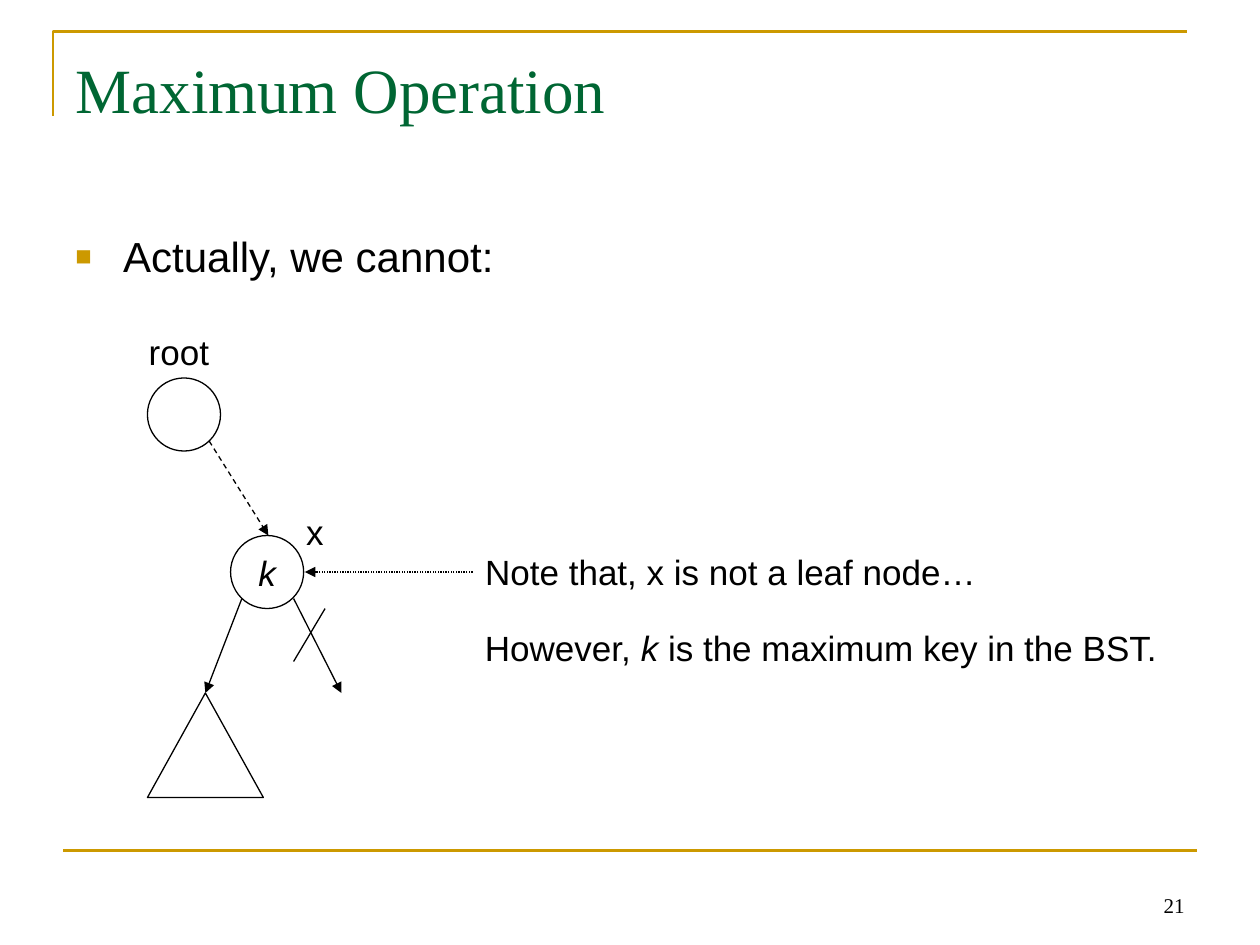
from lxml import etree
from pptx import Presentation
from pptx.dml.color import RGBColor
from pptx.enum.dml import MSO_LINE
from pptx.enum.shapes import MSO_CONNECTOR, MSO_SHAPE
from pptx.enum.text import MSO_ANCHOR, PP_ALIGN
from pptx.oxml.ns import qn
from pptx.util import Inches, Pt

BLACK, GOLD, GREEN = "000000", "CC9900", "006633"
NODE = 0.58


def colour(value):
    return RGBColor.from_string(value)


def add_span(para, text, size=20, font="Arial", color=BLACK, italic=False):
    span = para.add_run()
    span.text = text
    span.font.size = Pt(size)
    span.font.name = font
    span.font.italic = italic
    span.font.color.rgb = colour(color)


def set_frame(frame, inset=0.05, anchor=MSO_ANCHOR.TOP, wrap=True):
    frame.margin_left = frame.margin_right = Inches(0.1)
    frame.margin_top, frame.margin_bottom = Inches(inset), Inches(0.05)
    frame.vertical_anchor = anchor
    frame.word_wrap = wrap


def add_text(slide, left, top, width, height, align=PP_ALIGN.CENTER, **frame_options):
    """Add an empty text box and return its first paragraph."""
    box = slide.shapes.add_textbox(
        Inches(left), Inches(top), Inches(width), Inches(height))
    set_frame(box.text_frame, **frame_options)
    para = box.text_frame.paragraphs[0]
    para.alignment = align
    return para


def add_label(slide, left, top, width, text):
    add_span(add_text(slide, left, top, width, 0.44, wrap=False), text)


def add_line(slide, start, end, color=BLACK, weight=0.75, dash=None, arrow=False):
    line = slide.shapes.add_connector(
        MSO_CONNECTOR.STRAIGHT, *(Inches(value) for value in (*start, *end)))
    line.line.color.rgb = colour(color)
    line.line.width = Pt(weight)
    if dash:
        line.line.dash_style = dash
    properties = line._element.spPr
    if arrow:
        etree.SubElement(properties.find(qn("a:ln")), qn("a:tailEnd"), type="triangle")
    etree.SubElement(properties, qn("a:effectLst"))


def outline(shape, color=BLACK, weight=0.75):
    shape.shadow.inherit = False
    shape.fill.background()
    shape.line.color.rgb = colour(color)
    shape.line.width = Pt(weight)


def add_path(slide, points, close=False):
    corners = [(Inches(x), Inches(y)) for x, y in points]
    builder = slide.shapes.build_freeform(*corners[0])
    builder.add_line_segments(corners[1:], close=close)
    return builder.convert_to_shape()


def add_node(slide, left, top, key=None):
    node = slide.shapes.add_shape(
        MSO_SHAPE.OVAL, Inches(left), Inches(top), Inches(NODE), Inches(NODE))
    outline(node)
    if key:
        set_frame(node.text_frame, anchor=MSO_ANCHOR.MIDDLE, wrap=False)
        para = node.text_frame.paragraphs[0]
        para.alignment = PP_ALIGN.CENTER
        add_span(para, key, italic=True)


def add_frame_lines(slide, left, top, width):
    outline(add_path(slide, [(left, top + 0.67), (left, top), (left + width, top)]),
            GOLD, 1.5)
    add_line(slide, (0.5, 6.75), (0.5 + width, 6.75), GOLD, 1.5)


def add_title(slide, left, top, width, height):
    title = slide.shapes.title
    title.left, title.top = Inches(left), Inches(top)
    title.width, title.height = Inches(width), Inches(height)
    set_frame(title.text_frame, inset=0.1)
    para = title.text_frame.paragraphs[0]
    para.alignment = PP_ALIGN.LEFT
    add_span(para, "Maximum Operation", 36, "Times New Roman", GREEN)


def add_body(slide, left, top, width, height):
    para = add_text(slide, left, top, width, height, PP_ALIGN.LEFT, inset=0.08)
    properties = para._p.get_or_add_pPr()
    properties.set("marL", str(Inches(0.38)))
    properties.set("indent", str(Inches(-0.38)))
    bullet_color = etree.SubElement(properties, qn("a:buClr"))
    etree.SubElement(bullet_color, qn("a:srgbClr"), val=GOLD)
    etree.SubElement(properties, qn("a:buSzPct"), val="65000")
    etree.SubElement(properties, qn("a:buFont"), typeface="Arial")
    etree.SubElement(properties, qn("a:buChar"), char="■")
    add_span(para, "Actually, we cannot:", 24)


def add_tree(slide, left, top):
    """Draw the path from the root to x, its left subtree and missing right child."""
    def at(x, y):
        return left + x, top + y

    add_node(slide, *at(0, 0))
    add_label(slide, *at(-0.09, -0.43), 0.68, "root")
    add_node(slide, *at(0.66, 1.25), "k")
    add_label(slide, *at(1.16, 1), 0.34, "x")
    subtree = add_path(slide, [at(0.46, 2.5), at(0, 3.33), at(0.92, 3.33)], close=True)
    outline(subtree)
    add_line(slide, at(0.49, 0.5), at(0.96, 1.25), dash=MSO_LINE.DASH, arrow=True)
    add_line(slide, at(0.75, 1.75), at(0.46, 2.5), arrow=True)
    add_line(slide, at(1.16, 1.75), at(1.54, 2.5), arrow=True)
    add_line(slide, at(1.16, 2.25), at(1.41, 1.83))


def add_notes_on_x(slide, left, top):
    add_line(slide, (left, top + 0.22), (2.42, top + 0.22),
             dash=MSO_LINE.ROUND_DOT, arrow=True)
    add_label(slide, left, top, 4.1, "Note that, x is not a leaf node…")
    para = add_text(slide, left, top + 0.6, 5.58, 0.44, PP_ALIGN.LEFT, wrap=False)
    add_span(para, "However, ")
    add_span(para, "k", italic=True)
    add_span(para, " is the maximum key in the BST.")


def add_page_number(slide, left, top, width, height):
    para = add_text(slide, left, top, width, height, PP_ALIGN.RIGHT,
                    anchor=MSO_ANCHOR.BOTTOM)
    add_span(para, "21", 12, "Times New Roman")


def main():
    deck = Presentation()
    deck.slide_width, deck.slide_height = Inches(10), Inches(7.5)
    slide = deck.slides.add_slide(deck.slide_layouts[5])
    add_frame_lines(slide, 0.42, 0.25, 9)
    add_title(slide, 0.5, 0.3, 9, 1.25)
    add_body(slide, 0.5, 1.75, 9, 4.95)
    add_tree(slide, 1.17, 3)
    add_notes_on_x(slide, 3.75, 4.32)
    add_page_number(slide, 7.17, 6.83, 2.33, 0.5)
    deck.save("out.pptx")


if __name__ == "__main__":
    main()
